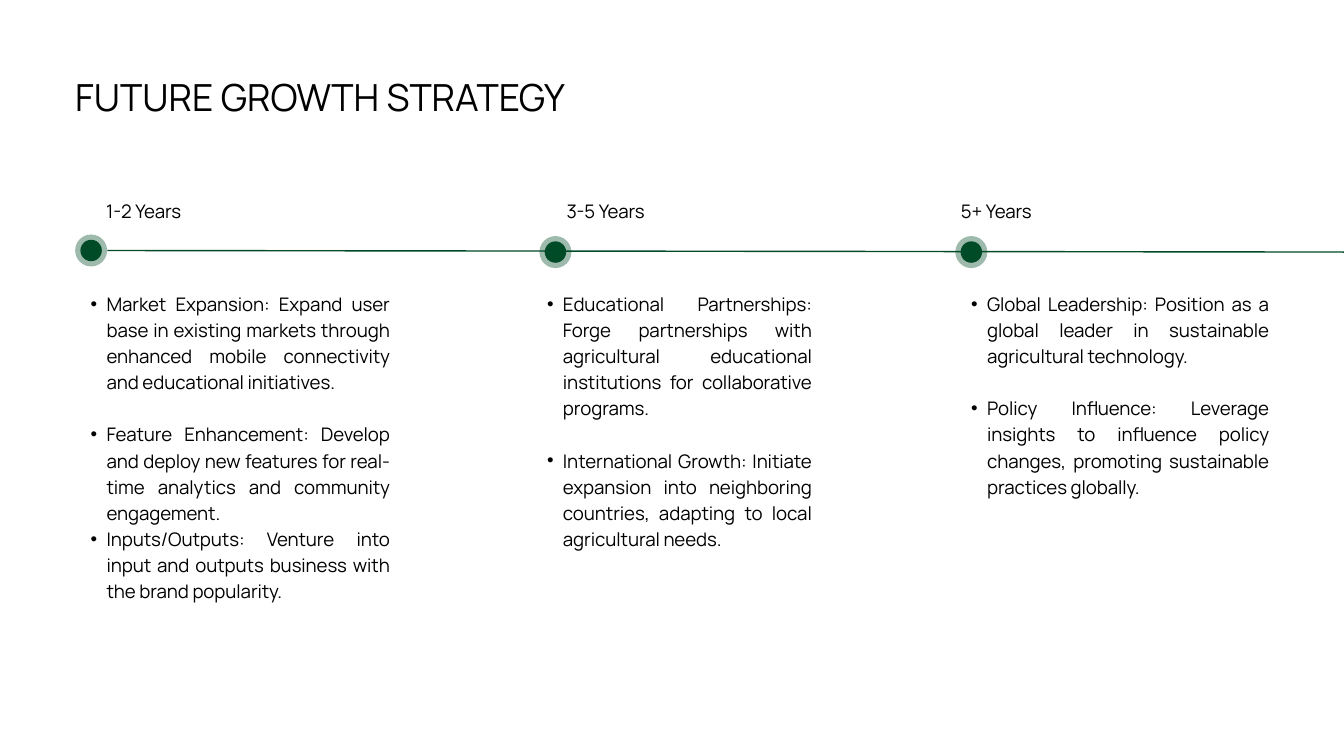
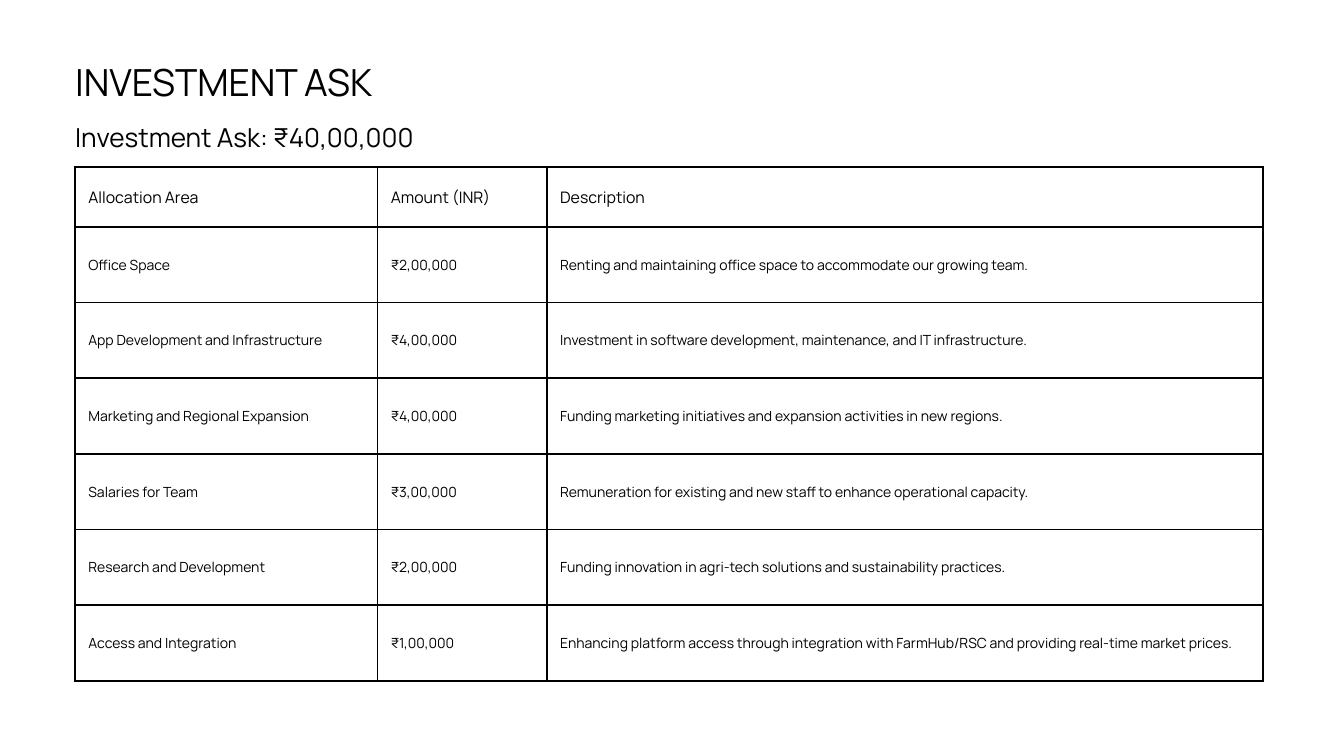
from lxml.etree import SubElement
from pptx import Presentation
from pptx.dml.color import RGBColor
from pptx.enum.shapes import MSO_CONNECTOR, MSO_SHAPE
from pptx.enum.text import MSO_ANCHOR, MSO_AUTO_SIZE, PP_ALIGN
from pptx.oxml import parse_xml
from pptx.oxml.ns import nsdecls, qn
from pptx.util import Cm, Pt

GREEN = RGBColor(0x00, 0x4B, 0x27)
BLACK = RGBColor(0x00, 0x00, 0x00)
FONT = "Manrope"
LEFT = 2.84  # shared left margin, cm


def write(paragraph, text, size, align=PP_ALIGN.LEFT, tracking=0):
    """Add one run; line spacing is always 1.4 times the text size."""
    paragraph.alignment = align
    paragraph.line_spacing = Pt(round(size * 1.4, 1))
    run = paragraph.add_run()
    run.text = text
    run.font.size = Pt(size)
    run.font.name = FONT
    run.font.color.rgb = BLACK
    if tracking:
        run._r.get_or_add_rPr().set("spc", str(tracking))


def place_text(shape, left, top, width, height):
    """Position a text shape and return its frame, without insets."""
    shape.left, shape.top = Cm(left), Cm(top)
    shape.width, shape.height = Cm(width), Cm(height)
    frame = shape.text_frame
    frame.margin_left = frame.margin_top = 0
    frame.margin_right = frame.margin_bottom = 0
    frame.word_wrap = True
    frame.vertical_anchor = MSO_ANCHOR.TOP
    frame.auto_size = MSO_AUTO_SIZE.SHAPE_TO_FIT_TEXT
    return frame


prs = Presentation()
prs.slide_width, prs.slide_height = Cm(50.8), Cm(28.58)
title_only = prs.slide_layouts[5]

# Both slides with their titles
slides = []
for heading, top, width in [("FUTURE GROWTH STRATEGY", 2.54, 19.99),
                            ("INVESTMENT ASK", 1.96, 18.95)]:
    slide = prs.slides.add_slide(title_only)
    title = place_text(slide.shapes.title, LEFT, top, width, 1.98)
    write(title.paragraphs[0], heading, 40)
    slides.append(slide)
growth, investment = slides

# Growth: timeline
timeline = growth.shapes.add_connector(
    MSO_CONNECTOR.STRAIGHT, Cm(4.06), Cm(9.47), Cm(51.97), Cm(9.53))
timeline.line.color.rgb = GREEN
timeline.line.width = Pt(1.5)
SubElement(timeline._element.spPr, qn("a:effectLst"))

# Growth: period, label width, marker left and middle, list left, width, height,
# and list items as (space before in points, text)
stages = [
    ("1-2 Years", 5.18, LEFT, 9.47, LEFT, 11.89, 14.91, [
        (0, "Market Expansion: Expand user base in existing markets through "
            "enhanced mobile connectivity and educational initiatives."),
        (28, "Feature Enhancement: Develop and deploy new features for "
             "real-time analytics and community engagement."),
        (0, "Inputs/Outputs: Venture into input and outputs business with "
            "the brand popularity."),
    ]),
    ("3-5 Years", 5, 20.39, 9.53, 20.09, 10.59, 10.92, [
        (0, "Educational Partnerships: Forge partnerships with agricultural "
            "educational institutions for collaborative programs."),
        (28, "International Growth: Initiate expansion into neighboring "
             "countries, adapting to local agricultural needs."),
    ]),
    ("5+ Years", 3.1, 36.11, 9.53, 36.12, 11.84, 8.92, [
        (0, "Global Leadership: Position as a global leader in sustainable "
            "agricultural technology."),
        (28, "Policy Influence: Leverage insights to influence policy "
             "changes, promoting sustainable practices globally."),
    ]),
]
HALO, DOT = 1.21, 0.81

for (period, label_width, marker_left, middle,
     list_left, list_width, list_height, items) in stages:
    # Marker: translucent halo around a solid dot
    marker = growth.shapes.add_group_shape()
    for diameter in (HALO, DOT):
        circle = marker.shapes.add_shape(
            MSO_SHAPE.OVAL, Cm(marker_left + (HALO - diameter) / 2),
            Cm(middle - diameter / 2), Cm(diameter), Cm(diameter))
        circle.shadow.inherit = False
        circle.fill.solid()
        circle.fill.fore_color.rgb = GREEN
        circle.line.fill.background()
        if diameter == HALO:
            colour = circle._element.spPr.find(".//" + qn("a:srgbClr"))
            SubElement(colour, qn("a:alpha"), val="38000")

    # Period label
    label = place_text(growth.shapes.add_textbox(0, 0, 0, 0),
                       marker_left, 7.42, label_width, 0.94)
    write(label.paragraphs[0], period, 20, PP_ALIGN.CENTER, -10)

    # Bulleted goals
    goals = place_text(growth.shapes.add_textbox(0, 0, 0, 0),
                       list_left, 10.92, list_width, list_height)
    for index, (space_before, text) in enumerate(items):
        goal = goals.add_paragraph() if index else goals.paragraphs[0]
        goal.level = 1
        properties = goal._p.get_or_add_pPr()
        properties.set("marL", str(Cm(1.19)))
        properties.set("indent", str(Cm(-0.6)))
        SubElement(properties, qn("a:buFont"), typeface="Arial")
        SubElement(properties, qn("a:buChar"), char="•")
        if space_before:
            goal.space_before = Pt(space_before)
        write(goal, text, 20, PP_ALIGN.JUSTIFY, -10)

# Investment: allocation table
allocations = [
    ("Allocation Area", "Amount (INR)", "Description"),
    ("Office Space", "₹2,00,000",
     "Renting and maintaining office space to accommodate our growing team."),
    ("App Development and Infrastructure", "₹4,00,000",
     "Investment in software development, maintenance, and IT infrastructure."),
    ("Marketing and Regional Expansion", "₹4,00,000",
     "Funding marketing initiatives and expansion activities in new regions."),
    ("Salaries for Team", "₹3,00,000",
     "Remuneration for existing and new staff to enhance operational capacity."),
    ("Research and Development", "₹2,00,000",
     "Funding innovation in agri-tech solutions and sustainability practices."),
    ("Access and Integration", "₹1,00,000",
     "Enhancing platform access through integration with FarmHub/RSC and "
     "providing real-time market prices."),
]
column_widths = [11.43, 6.4, 27.07]
row_heights = [2.26] + [2.86] * 6
table = investment.shapes.add_table(
    len(row_heights), len(column_widths), Cm(LEFT), Cm(6.32),
    Cm(sum(column_widths)), Cm(sum(row_heights))).table
table.first_row = table.horz_banding = False
for column, width in zip(table.columns, column_widths):
    column.width = Cm(width)

for row_index, (row, texts) in enumerate(zip(table.rows, allocations)):
    row.height = Cm(row_heights[row_index])
    for cell, text in zip(row.cells, texts):
        cell.vertical_anchor = MSO_ANCHOR.MIDDLE
        cell.margin_left = cell.margin_right = Cm(0.5)
        cell.margin_top = cell.margin_bottom = Cm(0.5)
        cell.fill.background()
        write(cell.text_frame.paragraphs[0], text, 15 if row_index else 17)
        for position, side in enumerate("LRTB"):
            border = parse_xml(
                f'<a:ln{side} {nsdecls("a")} w="{Pt(2.25)}"><a:solidFill>'
                f'<a:srgbClr val="{BLACK}"/></a:solidFill></a:ln{side}>')
            cell._tc.get_or_add_tcPr().insert(position, border)

# Investment: total under the title
total = place_text(investment.shapes.add_textbox(0, 0, 0, 0),
                   LEFT, 4.39, 20.22, 1.42)
write(total.paragraphs[0], "Investment Ask: ₹40,00,000", 28)

prs.save("out.pptx")
